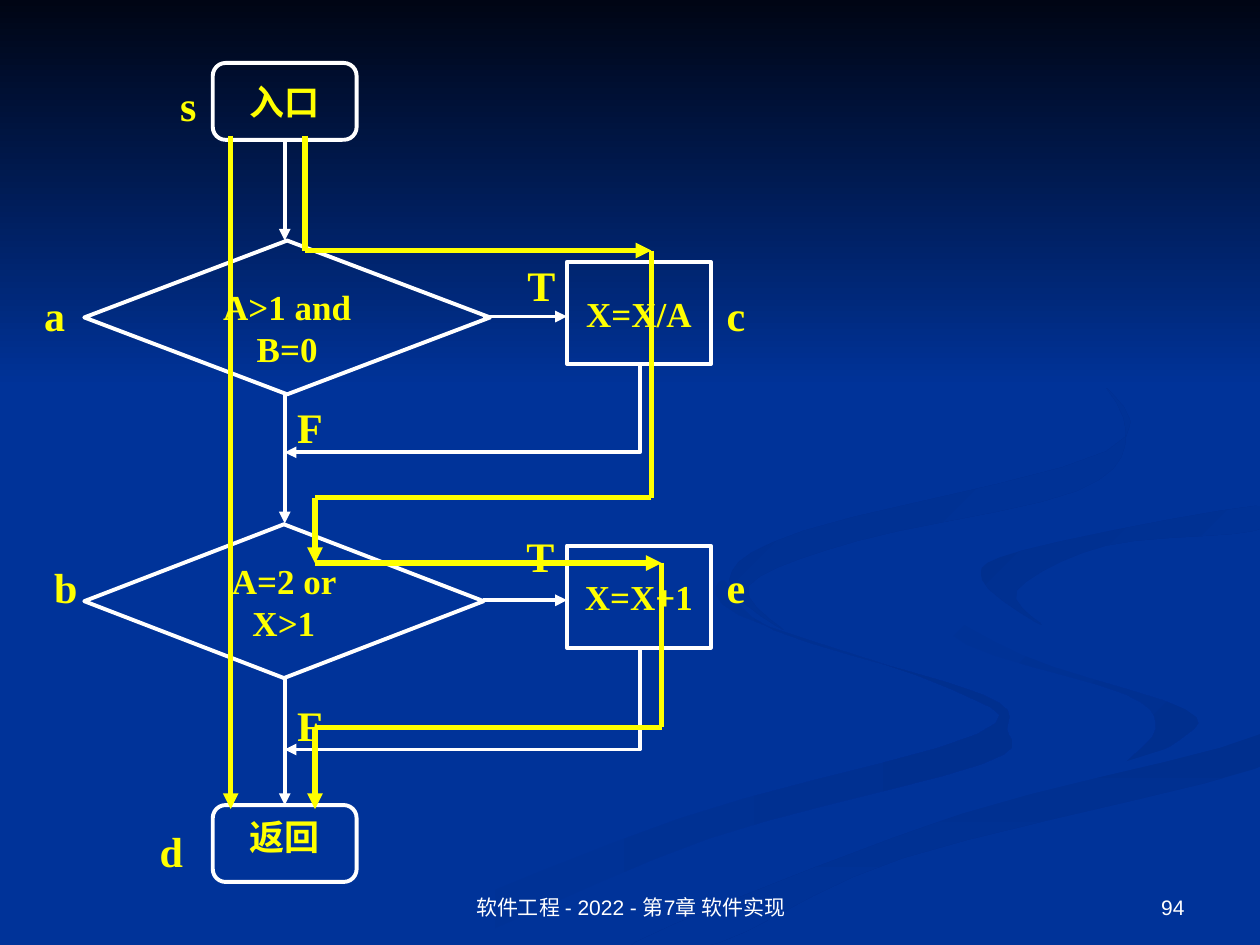
from lxml import etree
from pptx import Presentation
from pptx.dml.color import RGBColor
from pptx.enum.shapes import MSO_CONNECTOR, MSO_SHAPE
from pptx.enum.text import MSO_ANCHOR, PP_ALIGN
from pptx.oxml.ns import qn
from pptx.util import Cm, Pt

LINE = MSO_CONNECTOR.STRAIGHT
RECT = MSO_SHAPE.RECTANGLE
DIAMOND = MSO_SHAPE.FLOWCHART_DECISION
PROCESS = MSO_SHAPE.FLOWCHART_PROCESS
ROUND = MSO_SHAPE.FLOWCHART_ALTERNATE_PROCESS
TOP, MIDDLE, BOTTOM = MSO_ANCHOR.TOP, MSO_ANCHOR.MIDDLE, MSO_ANCHOR.BOTTOM
CENTER, RIGHT, JUSTIFY = PP_ALIGN.CENTER, PP_ALIGN.RIGHT, PP_ALIGN.JUSTIFY
WHITE, YELLOW, BLUE = "FFFFFF", "FFFF00", "003399"
DARK, NIGHT = "002F8E", "000514"
SERIF, SANS = "Times New Roman", "Arial"
STEPS = 5  # curve pieces between two ribbon points

# Backdrop ribbons: first colour, last colour, angle, bends in cm
RIBBONS = [
    (BLUE, DARK, 0, [
        (19.8, 14), (15.6, 12.7), (14.6, 11.7), (14.9, 12.4), (19.2, 13.9),
        (19.7, 14.8), (13.7, 16.5), (7.6, 19), (9.2, 19), (14.3, 16.9),
        (19.8, 15.4), (20.3, 14.7)]),
    (BLUE, DARK, 45, [
        (23.9, 14.3), (20.6, 13.2), (18.4, 11.8), (19.5, 13), (22.7, 14),
        (23.3, 14.7), (22.7, 15.4), (23.8, 14.9)]),
    (DARK, BLUE, 90, [
        (12.8, 19), (14.5, 19), (18.2, 17.3), (25.3, 15.5), (25.3, 14.8),
        (19.4, 16.4)]),
    (BLUE, BLUE, 0, [
        (18.4, 11.8), (20.6, 13.2), (23.9, 14.3), (23.5, 15.1), (18, 16.6),
        (12.1, 19), (19.4, 16.4), (25.4, 14.8), (25.4, 13.7), (20.4, 12.3),
        (20.3, 11.3), (25.4, 10.2), (25.4, 9.8), (19.2, 11)]),
    (DARK, BLUE, 45, [
        (19.8, 11.7), (21, 12.6), (20.5, 11.9), (22.3, 11), (25.3, 10.7),
        (25.3, 10.2), (20.6, 11.1)]),
    (DARK, BLUE, 45, [
        (17.3, 10.9), (21.7, 9.9), (22.7, 8.7), (21.7, 7.2), (19.4, 5.9),
        (22.1, 7.6), (22.3, 9.1), (16.2, 10.7), (14.7, 11.7), (15.8, 12.7),
        (15.1, 11.8)]),
]


def rgb(code):
    return RGBColor.from_string(code)


def bend(a, b, c, d, t):
    """Smooth curve from b to c, led by its neighbours a and d."""
    return (2 * b + (c - a) * t + (2 * a - 5 * b + 4 * c - d) * t ** 2
            + (3 * b - a - 3 * c + d) * t ** 3) / 2


def smooth(knots):
    count = len(knots)
    for i in range(count):
        near = [knots[(i + k) % count] for k in (-1, 0, 1, 2)]
        for step in range(STEPS):
            yield tuple(Cm(bend(*axis, step / STEPS)) for axis in zip(*near))


def shade(shape, first, last, angle):
    """Fill without outline; the angle runs clockwise."""
    shape.shadow.inherit = False
    shape.line.fill.background()
    shape.fill.gradient()
    shape.fill.gradient_angle = (360 - angle) % 360
    for stop, code, place in zip(shape.fill.gradient_stops, (first, last), (0, 1)):
        stop.color.rgb, stop.position = rgb(code), place


def write(shape, text, size, color, font, align, anchor, bold=True):
    frame = shape.text_frame
    frame.text, frame.word_wrap, frame.vertical_anchor = text, True, anchor
    para = frame.paragraphs[0]
    para.alignment = align
    face = para.runs[0].font
    face.size, face.bold, face.name = Pt(size), bold, font
    face.color.rgb = rgb(color)


def stroke(shape, color, width, arrow=False):
    shape.line.color.rgb, shape.line.width = rgb(color), Pt(width)
    if arrow:
        line = shape.line._get_or_add_ln()
        etree.SubElement(line, qn("a:tailEnd"), type="triangle")


def link(slide, x1, y1, x2, y2, color=WHITE, width=2.25, arrow=True):
    line = slide.shapes.add_connector(LINE, Cm(x1), Cm(y1), Cm(x2), Cm(y2))
    stroke(line, color, width, arrow)
    etree.SubElement(line._element.spPr, qn("a:effectLst"))
    return line


def node(slide, kind, x, y, w, h, text, anchor=MIDDLE):
    shape = slide.shapes.add_shape(kind, Cm(x), Cm(y), Cm(w), Cm(h))
    shape.shadow.inherit = False
    shape.fill.background()
    stroke(shape, WHITE, 2.25)
    write(shape, text, 20, YELLOW, SERIF, CENTER, anchor)
    return shape


def label(slide, text, x, y):
    box = slide.shapes.add_textbox(Cm(x), Cm(y), Cm(1.05), Cm(1.2))
    write(box, text, 24, YELLOW, SERIF, JUSTIFY, TOP)


def backdrop(slide, w, h):
    slide.background.fill.solid()
    slide.background.fill.fore_color.rgb = rgb(BLUE)
    for first, last, angle, knots in RIBBONS:
        start, *rest = smooth(knots)
        pen = slide.shapes.build_freeform(*start)
        pen.add_line_segments(rest)
        shade(pen.convert_to_shape(), first, last, angle)
    sky = slide.shapes.add_shape(RECT, 0, 0, Cm(w), Cm(h))
    shade(sky, NIGHT, BLUE, 90)


def branch(slide, x, y, w, test, anchor, action, back):
    """One decision with its action and return path; gives the downward arrow."""
    axis, side = x + 4.04, x + 9.73
    rhomb = node(slide, DIAMOND, x, y, w, 3.1, test, anchor)
    rhomb.text_frame.margin_left = rhomb.text_frame.margin_right = Cm(0.3)
    node(slide, PROCESS, side, y + 0.43, 2.9, 2.06, action)
    link(slide, x + 8.03, y + 1.53, side, y + 1.53)
    drop, turn = Cm(side + 1.47), Cm(y + back)
    pen = slide.shapes.build_freeform(drop, Cm(y + 2.49))
    pen.add_line_segments([(drop, turn), (Cm(axis), turn)], close=False)
    path = pen.convert_to_shape()
    path.shadow.inherit = False
    path.fill.background()
    stroke(path, WHITE, 2.25, True)
    return link(slide, axis, y + 3.1, axis, y + 5.7)


def chart(slide, x, y):
    """Whole flow chart, from entry to return."""
    start = node(slide, ROUND, x + 2.59, y, 2.9, 1.55, "入口")
    stop = node(slide, ROUND, x + 2.59, y + 14.96, 2.9, 1.55, "返回", TOP)
    link(slide, x + 4.04, y + 1.55, x + 4.04, y + 3.58).begin_connect(start, 2)
    branch(slide, x, y + 3.58, 8.18, "A>1 and B=0", TOP, "X=X/A", 4.27)
    last = branch(slide, x, y + 9.3, 8.05, "A=2 or X>1", MIDDLE, "X=X+1", 4.54)
    last.end_connect(stop, 0)
    for text, dx, dy in [("s", 1.68, 0.2), ("a", -1.06, 4.45), ("b", -0.86, 9.93),
                         ("c", 12.7, 4.45), ("e", 12.7, 9.93), ("d", 1.27, 15.24),
                         ("T", 8.68, 3.84), ("T", 8.66, 9.3),
                         ("F", 4.04, 6.7), ("F", 4.04, 12.7)]:
        label(slide, text, x + dx, y + dy)


def route(slide, x, y, stops):
    """Test path through the given stops; a true flag puts an arrowhead there."""
    for (x1, y1, _), (x2, y2, arrow) in zip(stops, stops[1:]):
        link(slide, x + x1, y + y1, x + x2, y + y2, YELLOW, 3, arrow)


def footer(slide, x, w, text, align):
    box = slide.shapes.add_textbox(Cm(x), Cm(17.35), Cm(w), Cm(1.32))
    write(box, text, 12, WHITE, SANS, align, BOTTOM, False)


def main():
    deck = Presentation()
    deck.slide_width, deck.slide_height = Cm(25.4), Cm(19.05)
    slide = deck.slides.add_slide(deck.slide_layouts[6])
    backdrop(slide, 25.4, 7.82)
    left, top = 1.7, 1.27
    chart(slide, left, top)
    # Path through both actions, then the straight path
    high, low = 1.47, 15.04
    route(slide, left, top, [
        (4.45, high, False), (4.45, 3.78, False), (11.43, 3.78, True),
        (11.43, 8.76, False), (4.65, 8.76, False), (4.65, 10.08, True),
        (11.64, 10.08, True), (11.64, 13.39, False), (4.65, 13.39, False),
        (4.65, low, True)])
    route(slide, left, top, [(2.95, high, False), (2.95, low, True)])
    footer(slide, 8.69, 8.05, "软件工程 - 2022 - 第7章 软件实现", CENTER)
    footer(slide, 18.21, 5.92, "94", RIGHT)
    deck.save("out.pptx")


if __name__ == "__main__":
    main()
